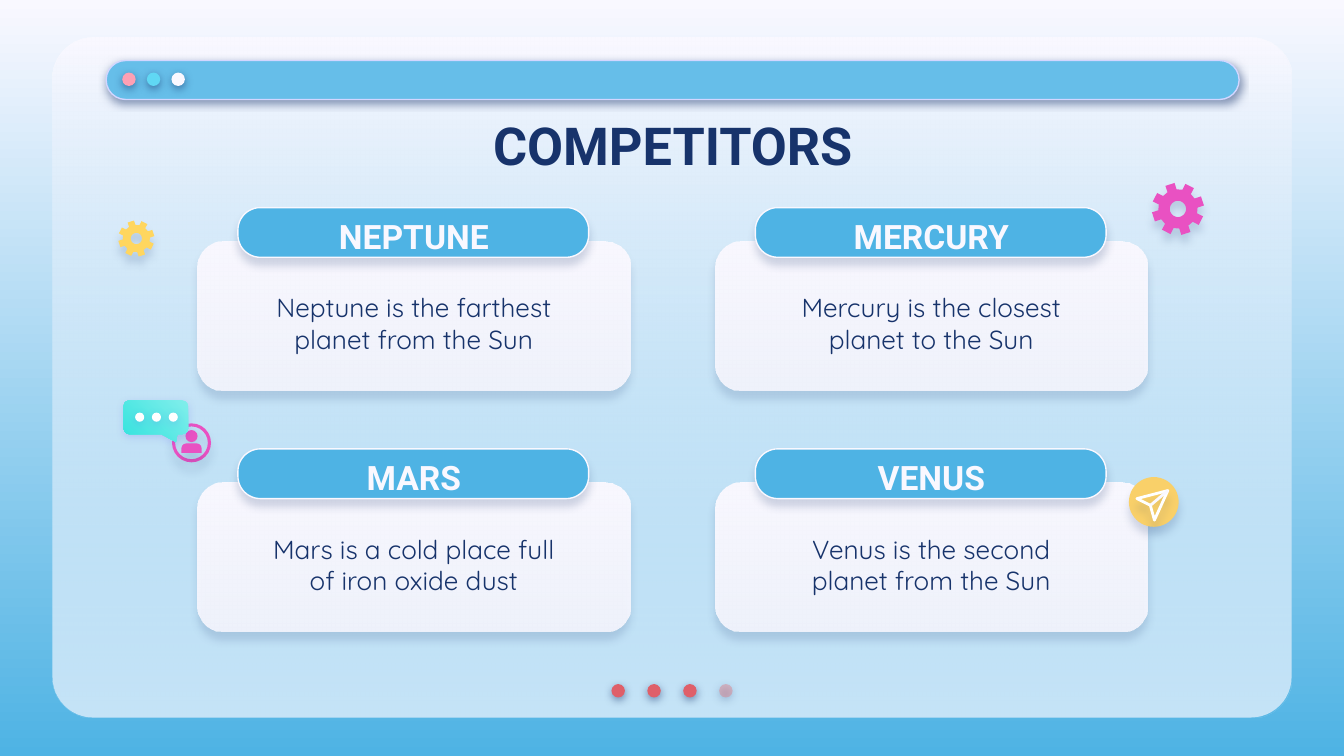
from math import cos, radians, sin

from lxml import etree
from pptx import Presentation
from pptx import util as u
from pptx.dml.color import RGBColor
from pptx.enum import shapes, text
from pptx.oxml.ns import qn

NAVY = RGBColor(0x17, 0x33, 0x6B)
PALE = RGBColor(0xF9, 0xF8, 0xFF)
BLUE = RGBColor(0x4E, 0xB3, 0xE4)
SKY = RGBColor(0x66, 0xBE, 0xE9)
LILAC = RGBColor(0xD2, 0xD6, 0xFF)
RED = RGBColor(0xDF, 0x5F, 0x69)
ROSE = RGBColor(0xE2, 0x7B, 0x83)
PINK = RGBColor(0xFD, 0xA0, 0xB4)
CYAN = RGBColor(0x60, 0xD8, 0xF4)
WHITE = RGBColor(0xFF, 0xFF, 0xFF)
MAGENTA = RGBColor(0xE9, 0x51, 0xC2)
YELLOW = RGBColor(0xFF, 0xD6, 0x5F)
GOLD = RGBColor(0xF9, 0xD0, 0x69)
MINT = RGBColor(0x81, 0xEE, 0xEB)
TEAL = RGBColor(0x3A, 0xE4, 0xDF)
VIOLET = RGBColor(0x53, 0x52, 0xEE)

WIDTH = u.Inches(10)
HEIGHT = WIDTH * 9 // 16
CELL = WIDTH // 100  # square grid cell, 100 columns across

# Shadow: colour, opacity, blur, distance
DEEP = (NAVY, 50, 4.5, 1.5)
SOFT = (NAVY, 16, 4.5, 4.5)
NEAR = (NAVY, 18, 4.5, 3.8)
GLOW = (VIOLET, 18, 4.5, 1.5)

HEAD = dict(name="Roboto", size=u.Pt(28), bold=True)
LABEL = dict(name="Roboto", size=u.Pt(18), bold=True)
BODY = dict(name="Quicksand", size=u.Pt(14), bold=False)
FRAME = dict(word_wrap=True, auto_size=text.MSO_AUTO_SIZE.NONE,
             vertical_anchor=text.MSO_ANCHOR.MIDDLE,
             margin_left=CELL, margin_right=CELL,
             margin_top=0, margin_bottom=0)
PARA = dict(alignment=text.PP_ALIGN.CENTER, line_spacing=1.0,
            space_before=u.Pt(0), space_after=u.Pt(0))

KIND = shapes.MSO_SHAPE
CARDS = [
    ("NEPTUNE", "Neptune is the farthest planet from the Sun"),
    ("MERCURY", "Mercury is the closest planet to the Sun"),
    ("MARS", "Mars is a cold place full of iron oxide dust"),
    ("VENUS", "Venus is the second planet from the Sun"),
]


def grid(*vals):
    return [int(v * CELL) for v in vals]


def assign(obj, vals):
    for key, val in vals.items():
        setattr(obj, key, val)


def fade(node, pct):
    etree.SubElement(node, qn("a:alpha"), val=str(pct * 1000))


def blend(fill, first, last, angle=270):
    fill.gradient()
    fill.gradient_angle = angle
    for stop, pos, tint in zip(fill.gradient_stops, (0, 1), (first, last)):
        stop.position = pos
        stop.color.rgb = tint


def shade(shape, tint, pct, blur, dist):
    """Give the shape a shadow that falls straight down."""
    shape.shadow.inherit = False
    root = shape._element.spPr.find(qn("a:effectLst"))
    node = etree.SubElement(root, qn("a:outerShdw"), blurRad=str(u.Pt(blur)),
                            dist=str(u.Pt(dist)), dir="5400000",
                            algn="bl", rotWithShape="0")
    fade(etree.SubElement(node, qn("a:srgbClr"), val=str(tint)), pct)


def paint(shape, fill, drop=None, line=None, wide=0.75, alpha=100):
    """Fill is a colour, a pair of gradient colours or None."""
    if fill is None:
        shape.fill.background()
    elif isinstance(fill, RGBColor):
        shape.fill.solid()
        shape.fill.fore_color.rgb = fill
    else:
        blend(shape.fill, *fill)
    if alpha < 100:
        fade(list(shape._element.spPr.iter(qn("a:srgbClr")))[-1], alpha)
    if line is None:
        shape.line.fill.background()
    else:
        shape.line.color.rgb = line
        shape.line.width = u.Pt(wide)
    shape.shadow.inherit = False
    if drop:
        shade(shape, *drop)
    return shape


def form(slide, kind, box, fill, drop=None, adj=(), **style):
    shape = slide.shapes.add_shape(kind, *grid(*box))
    for i, val in enumerate(adj):
        shape.adjustments[i] = val
    return paint(shape, fill, drop, **style)


def trace(slide, loops):
    """Draw closed outlines, given in cells, as one shape."""
    first, *rest = [[grid(*pt) for pt in loop] for loop in loops]
    pen = slide.shapes.build_freeform(*first[0], scale=1.0)
    pen.add_line_segments(first[1:], close=True)
    for loop in rest:
        pen.move_to(*loop[0])
        pen.add_line_segments(loop[1:], close=True)
    return pen.convert_to_shape()


def write(shape, box, words, font, tint):
    """Place a text holder on top and set its only paragraph."""
    tree = shape._element.getparent()
    tree.append(shape._element)
    assign(shape, dict(zip(("left", "top", "width", "height"), grid(*box))))
    frame = shape.text_frame
    frame.text = words
    assign(frame, FRAME)
    para = frame.paragraphs[0]
    props = para._p.get_or_add_pPr()
    props.set("marL", "0")
    props.set("indent", "0")
    etree.SubElement(props, qn("a:buNone"))
    assign(para, PARA)
    run = para.runs[0]
    assign(run.font, font)
    run.font.color.rgb = tint


def dots(slide, x, y, size, step, tints, drop):
    return [form(slide, KIND.OVAL, (x + i * step, y, size, size), tint, drop)
            for i, tint in enumerate(tints)]


def window(slide, x, y, w, h):
    blend(slide.background.fill, PALE, BLUE)
    for fill, alpha in ((PALE, 100), ((PALE, SKY), 35)):
        form(slide, KIND.ROUNDED_RECTANGLE, (x, y, w, h), fill,
             adj=[0.06], alpha=alpha)
    pages = dots(slide, x + 41.6, y + 48.1, 1, 2.67, [RED] * 3 + [ROSE], DEEP)
    fade(pages[-1].fill._xPr.find(qn("a:solidFill"))[0], 44)
    form(slide, KIND.ROUNDED_RECTANGLE, (x + 4, y + 1.7, w - 7.9, 2.9), SKY,
         DEEP, adj=[0.5], line=LILAC)
    dots(slide, x + 5.2, y + 2.6, 1, 1.83, [PINK, CYAN, PALE], DEEP)


def card(slide, x, y, w, h, name, words, body):
    form(slide, KIND.ROUNDED_RECTANGLE, (x, y, w, h), (PALE, PALE), SOFT,
         adj=[0.17], alpha=87)
    form(slide, KIND.ROUNDED_RECTANGLE, (x + 3, y - 2.5, w - 6.1, 3.7), BLUE,
         NEAR, adj=[0.45], line=PALE)
    label = slide.shapes.add_textbox(0, 0, CELL, CELL)
    inner = w - 7.5
    write(label, (x + 3.75, y - 1.85, inner, 2.9), name, LABEL, PALE)
    write(body, (x + 3.75, y + 2, inner, 8.2), words, BODY, NAVY)


def gear(slide, x, y, size, tint):
    """Eight-toothed wheel with a round hole."""
    r = size / 2

    def spot(reach, turn):
        a = radians(turn)
        return x + r + reach * r * cos(a), y + r + reach * r * sin(a)

    teeth = [(0.75, -14), (1, -10.5), (1, 10.5), (0.75, 14)]
    rim = [spot(reach, 45 * i - 18 + turn)
           for i in range(8) for reach, turn in teeth]
    hole = [spot(0.31, -10 * i) for i in range(36)]
    paint(trace(slide, [rim, hole]), tint, SOFT)


def plane(slide, x, y, size):
    form(slide, KIND.OVAL, (x, y, size, size), GOLD, SOFT)
    nose, fold = (x + 2.9, y + 1), (x + 1.6, y + 2.1)
    wing = trace(slide, [[(x + 0.6, y + 1.6), nose, (x + 1.9, y + 3.2), fold]])
    paint(wing, None, SOFT, line=WHITE, wide=1.5)
    crease = slide.shapes.add_connector(shapes.MSO_CONNECTOR.STRAIGHT,
                                        *grid(*nose, *fold))
    crease.line.color.rgb = PALE
    crease.line.width = u.Pt(1.5)
    etree.SubElement(crease._element.spPr, qn("a:effectLst"))


def chat(slide, x, y):
    form(slide, KIND.DONUT, (x + 3.6, y + 1.7, 2.9, 2.9), MAGENTA, SOFT,
         adj=[0.08])
    form(slide, KIND.OVAL, (x + 4.6, y + 2.2, 0.9, 0.9), MAGENTA, SOFT)
    form(slide, KIND.ROUND_2_SAME_RECTANGLE, (x + 4.3, y + 3.2, 1.5, 0.7),
         MAGENTA, SOFT, adj=[0.5, 0])
    form(slide, KIND.ROUNDED_RECTANGULAR_CALLOUT, (x, y, 4.8, 2.5),
         (MINT, TEAL, 225), GLOW, adj=[0.31, 0.74, 0.17])
    dots(slide, x + 0.85, y + 0.9, 0.68, 1.25, [WHITE] * 3, GLOW)


def main():
    deck = Presentation()
    deck.slide_width, deck.slide_height = WIDTH, HEIGHT
    slide = deck.slides.add_slide(deck.slide_layouts.get_by_name("Comparison"))
    title, *bodies = list(slide.placeholders)
    window(slide, 3.9, 2.8, 92.2, 50.6)
    write(title, (7.9, 7.6, 84.3, 6.3), "COMPETITORS", HEAD, NAVY)
    for i, ((name, words), body) in enumerate(zip(CARDS, bodies)):
        row, col = divmod(i, 2)
        card(slide, 14.7 + 38.5 * col, 17.95 + 17.95 * row, 32.2, 11.1,
             name, words, body)
    gear(slide, 85.7, 13.6, 3.9, MAGENTA)
    gear(slide, 8.8, 16.4, 2.7, YELLOW)
    plane(slide, 84, 35.5, 3.7)
    chat(slide, 9.2, 29.8)
    deck.save("out.pptx")


if __name__ == "__main__":
    main()
